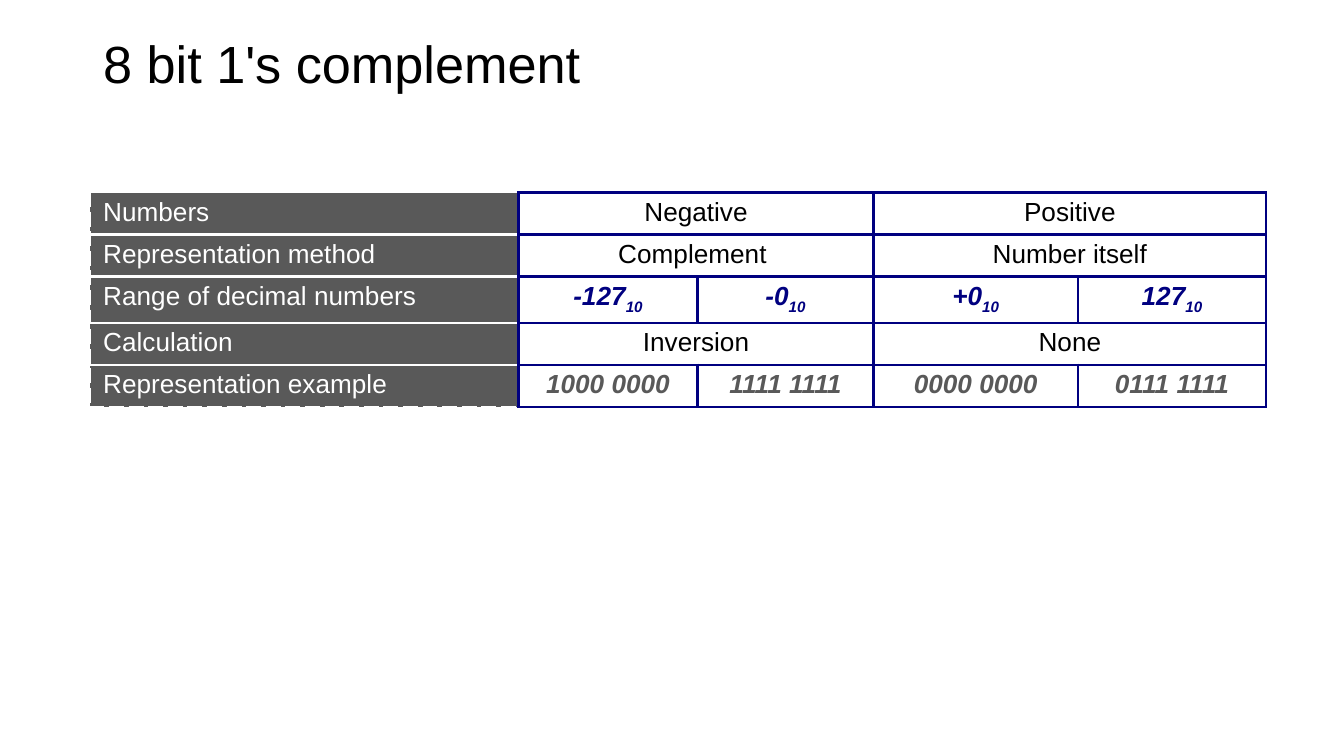
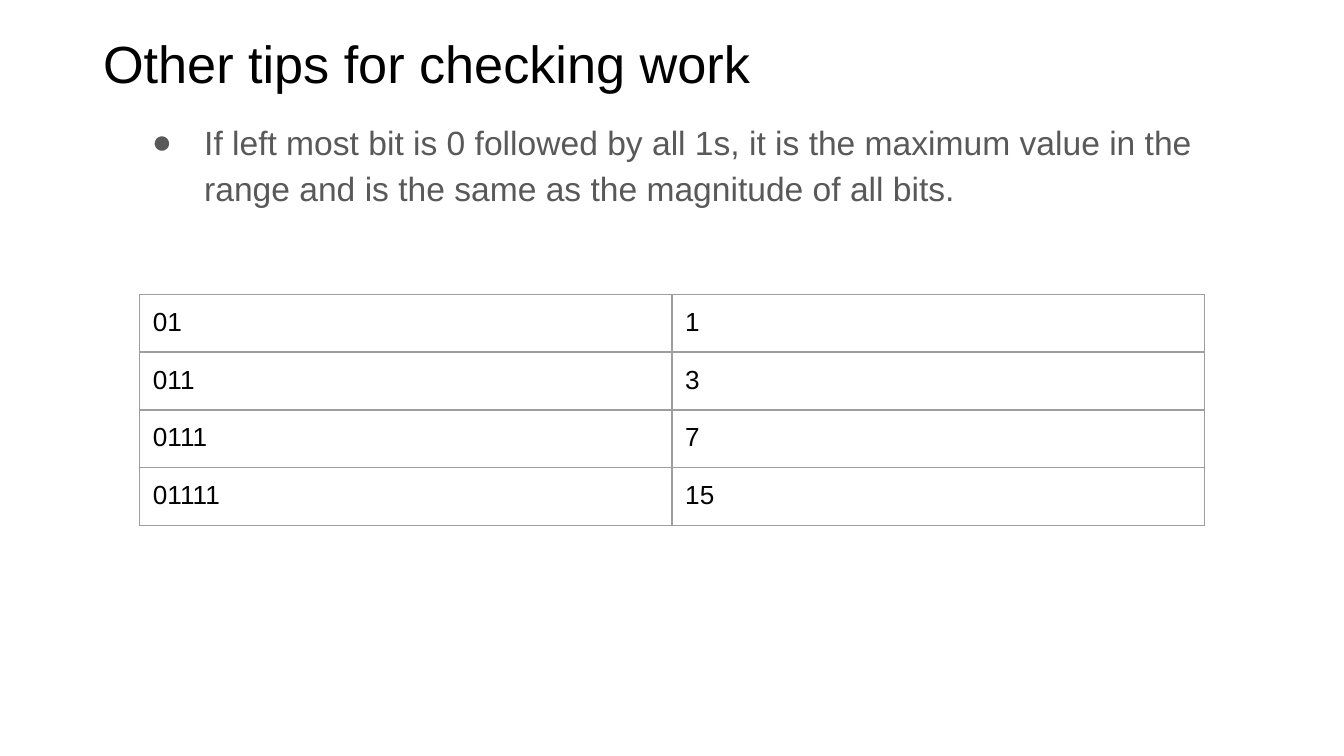
from lxml.etree import SubElement
from pptx import Presentation
from pptx.dml.color import RGBColor
from pptx.enum.text import MSO_ANCHOR as Anchor, PP_ALIGN as Align
from pptx.oxml.ns import qn
from pptx.util import Cm, Pt

BLACK = RGBColor(0x00, 0x00, 0x00)
WHITE = RGBColor(0xFF, 0xFF, 0xFF)
GRAY = RGBColor(0x59, 0x59, 0x59)
NAVY = RGBColor(0x00, 0x00, 0x80)
RULE_GRAY = RGBColor(0x9E, 0x9E, 0x9E)


def add_run(paragraph, text, size, color, strong=False):
    run = paragraph.add_run()
    run.text = text
    run.font.name = "Arial"
    run.font.size = Pt(size)
    run.font.color.rgb = color
    run.font.bold = run.font.italic = strong
    return run


def style_cell(cell, borders, margin, fill=None):
    """Borders are (color, points, dash) for left, right, top and bottom."""
    cell.margin_left = cell.margin_right = Cm(0.25)
    cell.margin_top = cell.margin_bottom = Cm(margin)
    properties = cell._tc.get_or_add_tcPr()
    for side, (color, points, dash) in zip("LRTB", borders):
        line = SubElement(properties, qn(f"a:ln{side}"), w=str(Pt(points)))
        solid = SubElement(line, qn("a:solidFill"))
        SubElement(solid, qn("a:srgbClr"), val=str(color))
        SubElement(line, qn("a:prstDash"), val=dash)
    if fill is None:
        cell.fill.background()
    else:
        cell.fill.solid()
        cell.fill.fore_color.rgb = fill


deck = Presentation()
deck.slide_width, deck.slide_height = Cm(25.4), Cm(14.29)

slides = []
for heading in ("8 bit 1's complement", "Other tips for checking work"):
    slide = deck.slides.add_slide(deck.slide_layouts[6])
    title = slide.shapes.add_textbox(Cm(1.7), Cm(0.48), Cm(22.86), Cm(1.42)).text_frame
    title.word_wrap = True
    title.vertical_anchor = Anchor.BOTTOM
    add_run(title.paragraphs[0], heading, 28, BLACK)
    slides.append(slide)
complement_slide, tips_slide = slides

# 8 bit 1's complement: a label column, then negative and positive halves
complement_rows = [
    ("Numbers", ["Negative", "Positive"], BLACK),
    ("Representation method", ["Complement ", "Number itself"], BLACK),
    ("Range of decimal numbers", ["-127", "-0", "+0", "127"], NAVY),
    ("Calculation", ["Inversion", "None"], BLACK),
    ("Representation example",
     ["1000 0000", "1111 1111", "0000 0000", "0111 1111"], GRAY),
]
column_widths = [8.1, 3.38, 3.33, 3.86, 3.56]
navy_line = (NAVY, 1.5, "solid")
white_line = (WHITE, 1.5, "solid")
white_dash = (WHITE, 0.75, "dash")

complement = complement_slide.shapes.add_table(
    len(complement_rows), len(column_widths),
    Cm(1.7), Cm(3.64), Cm(sum(column_widths)), Cm(1.9)).table
complement.first_row = complement.horz_banding = False
for column, width in zip(complement.columns, column_widths):
    column.width = Cm(width)

last = len(complement_rows) - 1
for row, (label, values, color) in enumerate(complement_rows):
    complement.rows[row].height = Cm(0.38)
    label_cell = complement.cell(row, 0)
    top = white_dash if row == 0 else white_line
    bottom = white_dash if row == last else white_line
    style_cell(label_cell, [white_dash, navy_line, top, bottom], 0.1, GRAY)
    add_run(label_cell.text_frame.paragraphs[0], label, 14, WHITE)

    for column in range(1, 5):
        style_cell(complement.cell(row, column), [navy_line] * 4, 0.1)
    span = 4 // len(values)
    for index, value in enumerate(values):
        column = 1 + index * span
        cell = complement.cell(row, column)
        if span > 1:
            cell.merge(complement.cell(row, column + span - 1))
        paragraph = cell.text_frame.paragraphs[0]
        paragraph.alignment = Align.CENTER
        add_run(paragraph, value, 14, color, strong=span == 1)
        if color == NAVY:
            base = add_run(paragraph, "10", 14, color, strong=True)
            base._r.get_or_add_rPr().set("baseline", "-25000")

# Other tips for checking work
tip_frame = tips_slide.shapes.add_textbox(
    Cm(2.34), Cm(2.06), Cm(21.59), Cm(11.13)).text_frame
tip_frame.word_wrap = True
tip = tip_frame.paragraphs[0]
tip.line_spacing = 1.15
tip.space_before = Pt(3.6)
add_run(tip, "If left most bit is 0 followed by all 1s, it is the maximum value "
        "in the range and is the same as the magnitude of all bits.", 18, GRAY)
tip_properties = tip._p.get_or_add_pPr()
tip_properties.set("marL", str(Cm(1.27)))
tip_properties.set("indent", str(Cm(-0.99)))
bullet_color = SubElement(tip_properties, qn("a:buClr"))
SubElement(bullet_color, qn("a:srgbClr"), val=str(GRAY))
SubElement(tip_properties, qn("a:buFont"), typeface="Arial")
SubElement(tip_properties, qn("a:buChar"), char="●")

maximums = [("01", "1"), ("011", "3"), ("0111", "7"), ("01111", "15")]
maximum_table = tips_slide.shapes.add_table(
    len(maximums), 2, Cm(2.64), Cm(5.56), Cm(20.12), Cm(4.24)).table
maximum_table.first_row = maximum_table.horz_banding = False
for row, pair in enumerate(maximums):
    for column, value in enumerate(pair):
        cell = maximum_table.cell(row, column)
        style_cell(cell, [(RULE_GRAY, 0.75, "solid")] * 4, 0.25)
        add_run(cell.text_frame.paragraphs[0], value, 14, BLACK)

deck.save("out.pptx")
